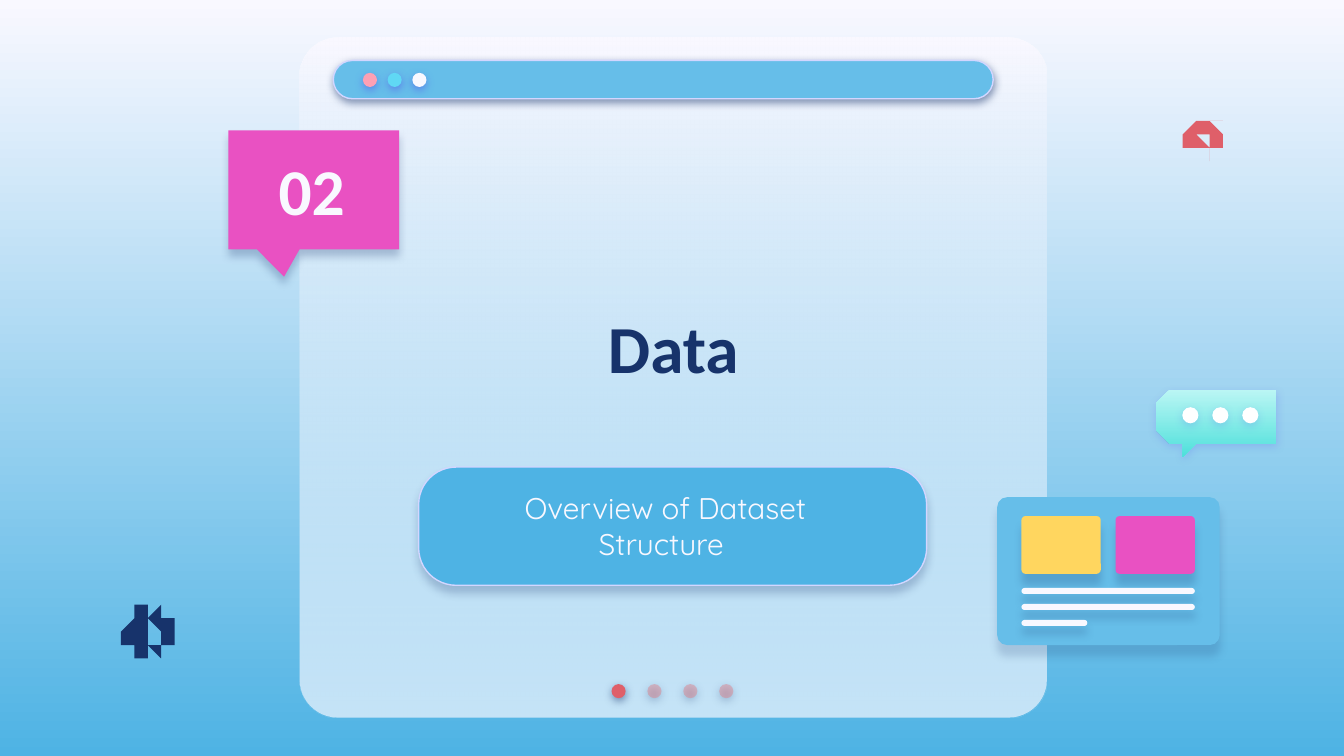
from math import cos, radians, sin

from lxml import etree
from pptx import Presentation
from pptx.dml.color import RGBColor
from pptx.enum.shapes import MSO_SHAPE
from pptx.enum.text import MSO_ANCHOR, MSO_AUTO_SIZE, PP_ALIGN
from pptx.oxml.ns import qn
from pptx.util import Inches, Pt

ROUND, OVAL = MSO_SHAPE.ROUNDED_RECTANGLE, MSO_SHAPE.OVAL
CALLOUT = MSO_SHAPE.RECTANGULAR_CALLOUT
MIDDLE, BOTTOM = MSO_ANCHOR.MIDDLE, MSO_ANCHOR.BOTTOM
CENTER, NO_FIT = PP_ALIGN.CENTER, MSO_AUTO_SIZE.NONE

C = {"white": "F9F8FF", "pure": "FFFFFF", "sky": "4EB3E4", "light": "66BEE9",
     "navy": "17336B", "pink": "E951C2", "yellow": "FFD65F", "red": "DF5F69",
     "rose": "E27B83", "blush": "FDA0B4", "cyan": "60D8F4", "violet": "5352EE",
     "edge": "D2D6FF", "mint": "BBF6F4", "teal": "4EE0DB"}

# The slide is a grid of 100 columns and 56.25 rows
COLS, ROWS = 100, 56.25
U = Inches(0.1)

prs = Presentation()
prs.slide_width, prs.slide_height = int(COLS * U), int(ROWS * U)
s = prs.slides.add_slide(prs.slide_layouts[0])


def paint(sp, fill, shadow=None, edge=None, alpha=None):
    """Fill: colour name or (top, bottom). Shadow: (colour, opacity %, distance pt)."""
    sp.shadow.inherit = False
    if isinstance(fill, tuple):
        sp.fill.gradient()
        sp.fill.gradient_angle = 270
        for stop, name in zip(sp.fill.gradient_stops, fill):
            stop.color.rgb = RGBColor.from_string(C[name])
    else:
        sp.fill.solid()
        sp.fill.fore_color.rgb = RGBColor.from_string(C[fill])
    if alpha:
        last = list(sp.element.spPr.iter(qn("a:srgbClr")))[-1]
        etree.SubElement(last, qn("a:alpha"), val=str(alpha * 1000))
    if edge:
        sp.line.color.rgb = RGBColor.from_string(C[edge])
        sp.line.width = Pt(0.75)
    else:
        sp.line.fill.background()
    if shadow:
        name, opacity, dist = shadow
        outer = etree.SubElement(
            sp.element.spPr.find(qn("a:effectLst")), qn("a:outerShdw"),
            blurRad=str(Pt(4.5)), dist=str(Pt(dist)), dir="5400000",
            algn="bl", rotWithShape="0")
        clr = etree.SubElement(outer, qn("a:srgbClr"), val=C[name])
        etree.SubElement(clr, qn("a:alpha"), val=str(opacity * 1000))


def add(kind, x, y, w, h, fill, adj=(), **look):
    sp = s.shapes.add_shape(kind, *(int(v * U) for v in (x, y, w, h)))
    for i, value in enumerate(adj):
        sp.adjustments[i] = value
    paint(sp, fill, **look)


# Background
bg = s.background.fill
bg.gradient()
bg.gradient_angle = 270
for stop, name in zip(bg.gradient_stops, ("white", "sky")):
    stop.color.rgb = RGBColor.from_string(C[name])

# Window panel, page dots and title bar
for fill, alpha in (("white", None), (("white", "light"), 35)):
    add(ROUND, 22.3, 2.8, 55.6, 50.6, fill, [0.056], alpha=alpha)
for i in range(4):
    add(OVAL, 45.5 + i * 2.67, 50.9, 1.05, 1.05, "rose" if i else "red",
        shadow=("navy", 50, 1.5), alpha=44 if i else None)
add(ROUND, 24.8, 4.5, 49.1, 2.85, "light", [0.5],
    shadow=("navy", 50, 1.5), edge="edge")
for i, fill in enumerate(("blush", "cyan", "white")):
    add(OVAL, 27 + i * 1.84, 5.42, 1.05, 1.05, fill, shadow=("violet", 50, 1.5))

# Number callout and subtitle pill
add(CALLOUT, 17, 9.7, 12.7, 8.85, "pink", [-0.174, 0.731],
    shadow=("navy", 25, 3.8))
add(ROUND, 31.15, 34.75, 37.8, 8.8, "sky", [0.317],
    shadow=("navy", 24, 3.8), edge="edge")

# Card with two tiles and three text lines
add(ROUND, 74.2, 37, 16.55, 11, "light", [0.066], shadow=("navy", 17, 6))
for i, fill in enumerate(("yellow", "pink")):
    add(ROUND, 76 + i * 7, 38.4, 5.9, 4.3, fill, [0.07], shadow=("navy", 20, 6))
for i, width in enumerate((12.9, 12.9, 4.9)):
    add(ROUND, 76, 43.75 + i * 1.19, width, 0.45, "white", [0.5],
        shadow=("navy", 21, 4.5))

# Chat bubble: rounded corners clockwise from top right, then the tail
left, top, right, bottom, rad = 86.5, 28.7, 95.1, 33.25, 0.8
bubble = []
for cx, cy, start in ((right - rad, top + rad, 270), (right - rad, bottom - rad, 0),
                      (left + rad, bottom - rad, 90), (left + rad, top + rad, 180)):
    if start == 90:
        bubble += [(89.1, bottom), (88.1, 34.35), (88.1, bottom)]
    bubble += [(cx + rad * cos(radians(start + a)), cy + rad * sin(radians(start + a)))
               for a in range(0, 91, 15)]
fb = s.shapes.build_freeform(*bubble[0], scale=U)
fb.add_line_segments(bubble[1:])
paint(fb.convert_to_shape(), ("mint", "teal"), shadow=("violet", 18, 1.5))
for i in range(3):
    add(OVAL, 87.97 + i * 2.23, 30.3, 1.2, 1.2, "pure", shadow=("violet", 18, 1.5))

# Gears: eight teeth around a round hole
for cx, cy, size, turn, fill in ((11.21, 47.03, 1.97, 251, "navy"),
                                 (89.7, 10.13, 1.38, 255, "red")):
    teeth = [(turn + 45 * i + da, size * share) for i in range(8)
             for da, share in ((-15, 0.72), (-10.5, 1), (10.5, 1), (15, 0.72))]
    hole = [(a, size * 0.3) for a in range(360, 0, -15)]
    outer, inner = ([(cx + d * cos(radians(a)), cy + d * sin(radians(a)))
                     for a, d in ring] for ring in (teeth, hole))
    fb = s.shapes.build_freeform(*outer[0], scale=U)
    fb.add_line_segments(outer[1:])
    fb.move_to(*inner[0])
    fb.add_line_segments(inner[1:])
    paint(fb.convert_to_shape(), fill)

# Title, subtitle and section number
number = s.shapes.add_textbox(0, 0, U, U)
for sp, box, text, size, font, color, bold, anchor in (
        (s.shapes.title, (27.1, 16.7, 46, 18.2), "Data",
         36, "Calibri", "navy", True, MIDDLE),
        (s.placeholders[1], (35.9, 35.2, 27.2, 7.8), "Overview of Dataset Structure ",
         16, "Quicksand", "white", False, MIDDLE),
        (number, (17.9, 10.2, 10.6, 7.8), "02",
         35, "Calibri", "white", True, BOTTOM)):
    s.shapes.element.append(sp.element)  # bring to front
    sp.left, sp.top, sp.width, sp.height = (int(v * U) for v in box)
    tf = sp.text_frame
    tf.word_wrap, tf.auto_size, tf.vertical_anchor = True, NO_FIT, anchor
    tf.margin_left = tf.margin_right = tf.margin_top = tf.margin_bottom = U
    p = tf.paragraphs[0]
    p.alignment, p.space_before = CENTER, Pt(0)
    r = p.add_run()
    r.text = text
    r.font.name, r.font.size, r.font.bold = font, Pt(size), bold
    r.font.color.rgb = RGBColor.from_string(C[color])

prs.save("out.pptx")
